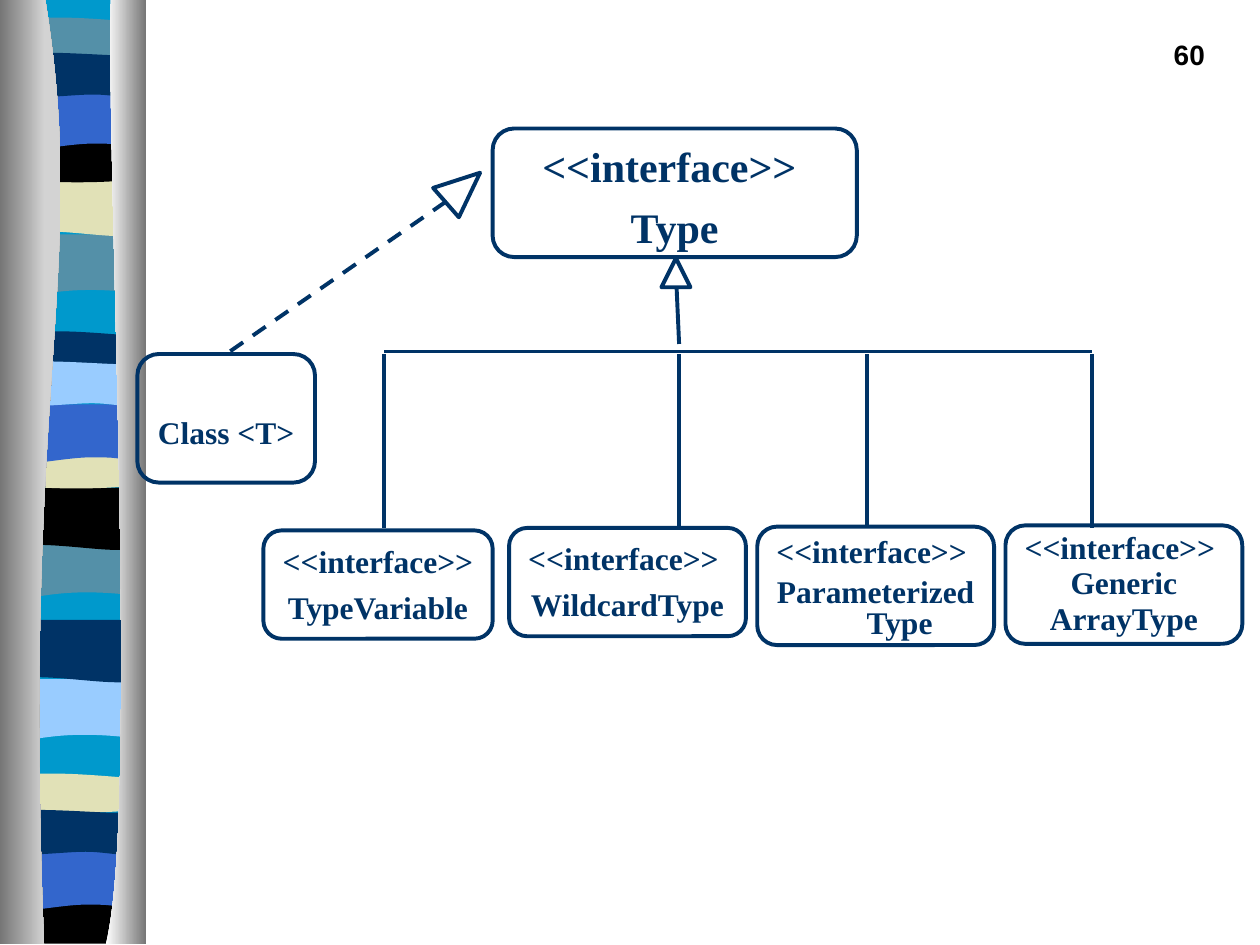
from pptx import Presentation
from pptx.dml.color import RGBColor
from pptx.enum.dml import MSO_LINE
from pptx.enum.shapes import MSO_CONNECTOR, MSO_SHAPE
from pptx.enum.text import MSO_ANCHOR, PP_ALIGN
from pptx.oxml.ns import qn
from pptx.util import Inches, Pt
from lxml import etree

COLORS = {"navy": "003366", "blue": "3366CC", "sky": "99CCFF", "cyan": "0099CC",
          "teal": "5490A8", "sand": "E1E1B7", "black": "000000",
          "gray": "767676", "silver": "D3D3D3", "white": "FFFFFF"}

# Each outline is a start point, then lines (x, y) and Bézier curves (six numbers).
BAND_OUTLINES = {
    "dip": [(0, 0), (1.03, 0), (1.03, 0.47), (0.32, 0.38, 0.17, 0.54, 0, 0.47)],
    "swell": [(0, 0), (1.03, 0), (1.03, 0.47), (0.86, 0.55, 0.32, 0.41, 0, 0.47)],
    "thin": [(0, 0.05), (0.07, 0, 0.23, 0.01, 0.4, 0.01),
             (0.57, 0.01, 0.9, 0.04, 1.03, 0.05), (1.03, 0.29),
             (0.86, 0.33, 0.17, 0.33, 0, 0.29)],
    "bulge": [(0, 0), (0.63, 0.05, 0.81, 0, 1.03, 0), (1.03, 0.33),
              (0.86, 0.38, 0.17, 0.38, 0, 0.33)],
    "base": [(0, 0), (0.63, 0.05, 0.81, 0, 1.03, 0), (1.03, 0.37), (0, 0.37)],
    "arch": [(0, 0), (1.03, 0), (1.03, 0.48), (0.87, 0.42, 0.81, 0.42, 0.63, 0.42),
             (0.46, 0.42, 0.16, 0.48, 0, 0.48)],
    "ribbon": [(0, 0.05), (0.15, 0, 0.7, 0.05, 0.87, 0.05), (1.03, 0.05), (1.03, 0.36),
               (0.97, 0.41, 0.81, 0.36, 0.64, 0.36),
               (0.46, 0.36, 0.11, 0.41, 0, 0.36)],
}
BANDS = [  # outline, color, left, top
    ("dip", "teal", 0.1, 1.86), ("swell", "sand", 0.12, 1.38),
    ("thin", "teal", 0.12, 0.13), ("bulge", "black", 0.1, 1.08),
    ("arch", "blue", 0.1, 0.72), ("ribbon", "navy", 0.1, 0.39),
    ("dip", "teal", 0.07, 4.26), ("swell", "black", 0.09, 3.87),
    ("thin", "navy", 0.09, 2.62), ("bulge", "sand", 0.09, 3.51),
    ("arch", "blue", 0.09, 3.21), ("ribbon", "sky", 0.09, 2.84),
    ("dip", "sky", 0.05, 5.39), ("swell", "navy", 0.08, 4.92),
    ("thin", "sand", 0.07, 6.13), ("base", "black", 0.07, 7.12),
    ("arch", "blue", 0.05, 6.76), ("ribbon", "navy", 0.04, 6.4),
]
LEFT_EDGE = [(0.36, 0), (0.71, 2.16, 0.17, 2.96, 0.35, 7.49), (0, 7.49), (0, 0)]
RIGHT_EDGE = [(0.88, 0), (0.84, 1.25, 1.11, 6.46, 0.84, 7.49), (1.16, 7.49), (1.16, 0)]


def rgb(name):
    return RGBColor.from_string(COLORS[name])


def add_outline(slide, outline, left, top):
    """Add a closed freeform, turning its six-number segments into curves."""
    start, *ends = [(Inches(left + segment[-2]), Inches(top + segment[-1]))
                    for segment in outline]
    builder = slide.shapes.build_freeform(*start)
    builder.add_line_segments(ends)
    shape = builder.convert_to_shape()
    shape.shadow.inherit = False
    shape.line.fill.background()
    for segment, step in zip(outline[1:], list(shape._element.iter(qn("a:lnTo")))):
        if len(segment) == 6:
            step.tag = qn("a:cubicBezTo")
            for index, (x, y) in enumerate((segment[:2], segment[2:4])):
                control = etree.Element(qn("a:pt"), x=str(Inches(left + x) - shape.left),
                                        y=str(Inches(top + y) - shape.top))
                step.insert(index, control)
    return shape


def add_side_panel(slide, left, top):
    """Draw the striped column between two shaded curved edges."""
    column = slide.shapes.add_shape(MSO_SHAPE.RECTANGLE, Inches(left + 0.1), Inches(top),
                                    Inches(1.03), Inches(7.47))
    column.shadow.inherit = False
    column.fill.solid()
    column.fill.fore_color.rgb = rgb("cyan")
    column.line.fill.background()
    for outline, color, x, y in BANDS:
        band = add_outline(slide, BAND_OUTLINES[outline], left + x, top + y)
        band.fill.solid()
        band.fill.fore_color.rgb = rgb(color)
    for outline, shades in ((LEFT_EDGE, ("gray", "silver")), (RIGHT_EDGE, ("white", "gray"))):
        edge = add_outline(slide, outline, left, top)
        edge.fill.gradient()
        edge.fill.gradient_angle = 0
        for stop, shade, position in zip(edge.fill.gradient_stops, shades, (0, 1)):
            stop.color.rgb = rgb(shade)
            stop.position = position


def set_font(paragraph, name, size, color):
    font = paragraph.font
    font.name, font.size, font.bold = name, Pt(size), True
    font.color.rgb = rgb(color)


def add_page_number(slide, left, top, width, height):
    box = slide.shapes.add_textbox(Inches(left), Inches(top), Inches(width), Inches(height))
    frame = box.text_frame
    frame.word_wrap = True
    frame.text = "60"
    frame.paragraphs[0].alignment = PP_ALIGN.RIGHT
    set_font(frame.paragraphs[0], "Arial", 16, "black")


def add_outlined(slide, kind, left, top, width, height):
    shape = slide.shapes.add_shape(kind, Inches(left), Inches(top),
                                   Inches(width), Inches(height))
    shape.shadow.inherit = False
    shape.fill.background()
    shape.line.color.rgb = rgb("navy")
    shape.line.width = Pt(2.25)
    return shape


def add_type_box(slide, lines, left, top, width, height, inset=0.05, size=18, spacing=None):
    box = add_outlined(slide, MSO_SHAPE.ROUNDED_RECTANGLE, left, top, width, height)
    frame = box.text_frame
    frame.word_wrap = True
    frame.vertical_anchor = MSO_ANCHOR.TOP
    frame.margin_top, frame.margin_bottom = Inches(inset), 0
    frame.text = "\n".join(lines)
    for index, paragraph in enumerate(frame.paragraphs):
        properties = paragraph._p.get_or_add_pPr()
        properties.set("marL", str(Inches(0.38)))
        properties.set("indent", str(Inches(-0.38)))
        paragraph.alignment = PP_ALIGN.CENTER
        paragraph.space_before = Pt(size / 4 if index else 0)
        if spacing:
            paragraph.line_spacing = Pt(spacing)
        set_font(paragraph, "Times New Roman", size, "navy")
    return box


def add_line(slide, x1, y1, x2, y2):
    line = slide.shapes.add_connector(MSO_CONNECTOR.STRAIGHT, Inches(x1), Inches(y1),
                                      Inches(x2), Inches(y2))
    line.line.color.rgb = rgb("navy")
    line.line.width = Pt(2.25)
    etree.SubElement(line._element.spPr, qn("a:effectLst"))
    return line


def add_type_hierarchy(slide, left, top):
    """Draw the Type interface, its four subinterfaces and the class realizing it."""
    def at(x, y):
        return left + x, top + y

    stereotype = "<<interface>> "
    add_type_box(slide, [stereotype, "Type"], *at(2.82, 0), 2.89, 1.02, size=24)
    add_type_box(slide, [stereotype, "WildcardType"], *at(2.95, 3.17), 1.88, 0.86)
    add_type_box(slide, [stereotype, "TypeVariable"], *at(1, 3.19), 1.82, 0.86)
    add_type_box(slide, [stereotype, "ParameterizedType"], *at(4.92, 3.16), 1.88, 0.94,
                 spacing=18)
    add_type_box(slide, [stereotype, "Generic", "ArrayType"], *at(6.89, 3.15), 1.88, 0.94,
                 spacing=16)
    class_box = add_type_box(slide, ["Class <T>"], *at(0, 1.79), 1.41, 1.02, inset=0.42)

    add_outlined(slide, MSO_SHAPE.ISOSCELES_TRIANGLE, *at(4.16, 1.03), 0.23, 0.23)
    add_line(slide, *at(4.28, 1.26), *at(4.3, 1.71))
    drops = (1.96, 4.3, 5.79, 7.58)
    add_line(slide, *at(drops[0], 1.77), *at(drops[-1], 1.77))
    for x in drops:
        add_line(slide, *at(x, 1.79), *at(x, 3.17))

    realization_head = add_outlined(slide, MSO_SHAPE.ISOSCELES_TRIANGLE,
                                    *at(2.43, 0.29), 0.31, 0.36)
    realization_head.rotation = 48.8
    realization = add_line(slide, *at(2.45, 0.58), *at(0.71, 1.79))
    realization.line.dash_style = MSO_LINE.DASH
    realization.end_connect(class_box, 0)


def main():
    presentation = Presentation()
    presentation.slide_width, presentation.slide_height = Inches(10), Inches(7.5)
    slide = presentation.slides.add_slide(presentation.slide_layouts[6])
    add_side_panel(slide, 0, 0)
    add_page_number(slide, 7.58, 0.25, 2.08, 0.5)
    add_type_hierarchy(slide, 1.09, 1.02)
    presentation.save("out.pptx")


if __name__ == "__main__":
    main()
